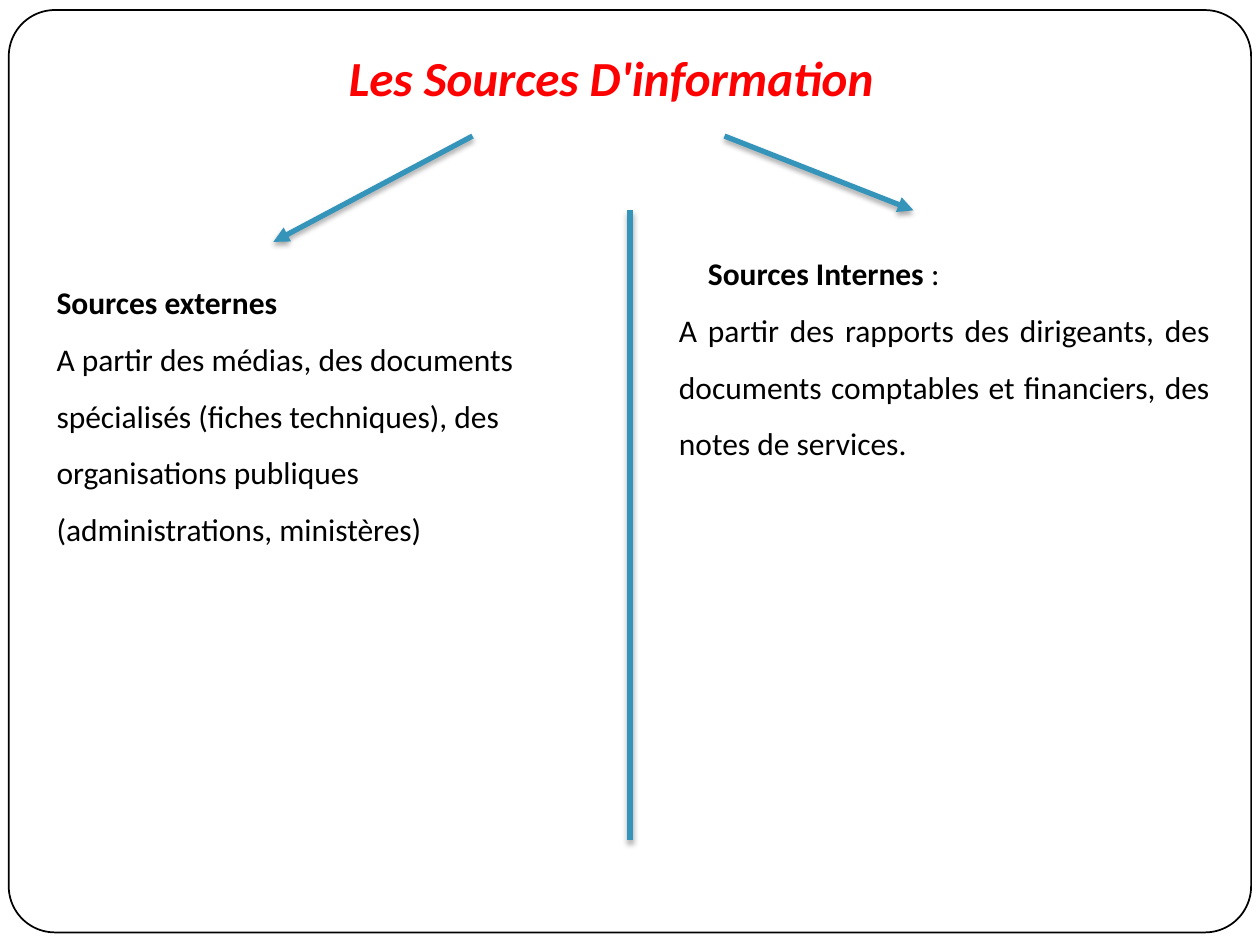
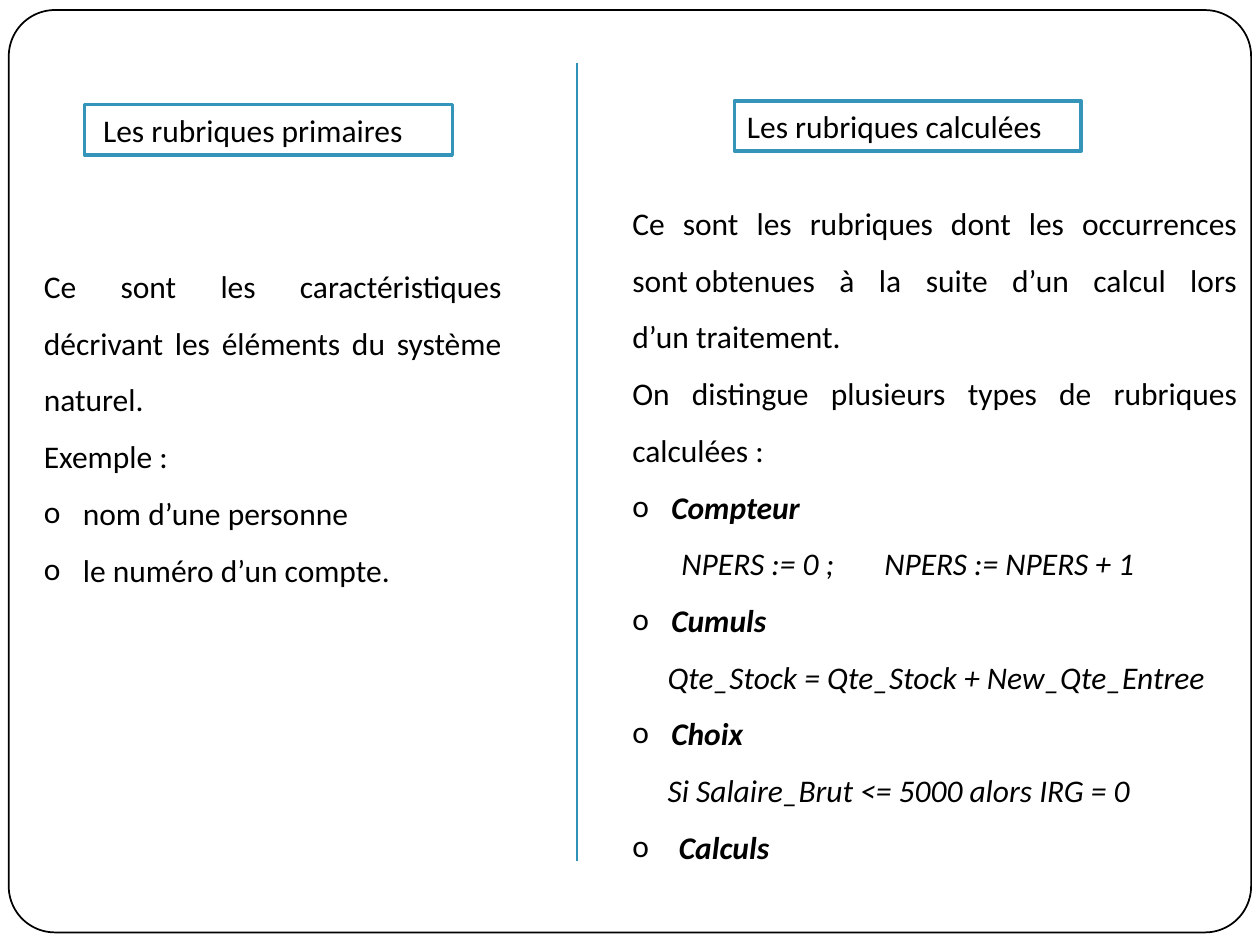
from lxml import etree
from pptx import Presentation
from pptx import util as u
from pptx.dml.color import RGBColor
from pptx.enum import shapes, text
from pptx.oxml import parse_xml
from pptx.oxml.ns import nsdecls, qn

BLACK, WHITE, RED = "000000", "FFFFFF", "FF0000"
TEAL, BLUE = "3494BA", "3092B9"
FONT = "Calibri"
SHADOW = (f'<a:effectLst {nsdecls("a")}><a:outerShdw blurRad="39370" dist="23000" '
          'dir="5400000" rotWithShape="0"><a:srgbClr val="000000">'
          '<a:alpha val="35000"/></a:srgbClr></a:outerShdw></a:effectLst>')
PLAIN = f'<a:effectLst {nsdecls("a")}/>'


def color(code):
    return RGBColor.from_string(code)


def inches(*sizes):
    return [u.Inches(size) for size in sizes]


def add_par(par, words, size=18, ink=BLACK, bold=False, italic=False, just=True,
            space=1.0, left=0, first=0, bullet=None, tab=None, end=""):
    """Fill one paragraph; end is a closing part in regular weight."""
    props = par._p.get_or_add_pPr()
    props.set("marL", str(u.Inches(left)))
    props.set("indent", str(u.Inches(first)))
    par.alignment = text.PP_ALIGN.JUSTIFY if just else text.PP_ALIGN.LEFT
    par.line_spacing = space
    if bullet:
        etree.SubElement(props, qn("a:buFont"), typeface=FONT)
        etree.SubElement(props, qn("a:buChar"), char=bullet)
    if tab:
        tabs = etree.SubElement(props, qn("a:tabLst"))
        etree.SubElement(tabs, qn("a:tab"), pos=str(u.Inches(tab)), algn="l")
    for part, heavy in ((words, bold), (end, False)):
        if part:
            run = par.add_run()
            run.text = part.replace("~", chr(160))  # ~ keeps two words together
            font = run.font
            font.name, font.size = FONT, u.Pt(size)
            font.bold, font.italic = heavy, italic
            font.color.rgb = color(ink)


class Deck:
    def __init__(self):
        self.prs = Presentation()
        self.prs.slide_width, self.prs.slide_height = inches(10, 7.5)
        self.slide = None

    def new_slide(self):
        self.slide = self.prs.slides.add_slide(self.prs.slide_layouts[6])
        # Rounded frame shared by all slides
        frame = self.box((0.07, 0.08, 9.86, 7.32), BLACK, 1,
                         shapes.MSO_SHAPE.ROUNDED_RECTANGLE)
        frame.adjustments[0] = 0.05
        frame.fill.background()

    def box(self, place, ink, width, kind=shapes.MSO_SHAPE.RECTANGLE):
        shape = self.slide.shapes.add_shape(kind, *inches(*place))
        shape.shadow.inherit = False
        shape.fill.solid()
        shape.fill.fore_color.rgb = color(WHITE)
        shape.line.color.rgb = color(ink)
        shape.line.width = u.Pt(width)
        return shape

    def fill_text(self, shape, pars, **style):
        frame = shape.text_frame
        frame.word_wrap = True
        frame.auto_size = text.MSO_AUTO_SIZE.SHAPE_TO_FIT_TEXT
        for num, (words, own) in enumerate(pars):
            par = frame.add_paragraph() if num else frame.paragraphs[0]
            add_par(par, words, **{**style, **own})

    def label(self, place, words, **style):
        self.fill_text(self.box(place, TEAL, 2), [(words, style)], just=False)

    def body(self, place, pars, **style):
        self.fill_text(self.slide.shapes.add_textbox(*inches(*place)), pars, **style)

    def line(self, start, end, ink=TEAL, width=3, arrow=False, shadow=True):
        link = self.slide.shapes.add_connector(
            shapes.MSO_CONNECTOR.STRAIGHT, *inches(*start, *end))
        link.line.color.rgb = color(ink)
        link.line.width = u.Pt(width)
        if arrow:
            etree.SubElement(link.line._get_or_add_ln(), qn("a:tailEnd"), type="triangle")
        link._element.spPr.append(parse_xml(SHADOW if shadow else PLAIN))


def show_sources(deck):
    deck.new_slide()
    deck.body((2.67, 0.33, 5.07, 0.57), [("Les Sources D'information", {})],
              size=28, ink=RED, bold=True, italic=True)
    # Two columns
    deck.body((0.35, 2.05, 4.15, 2.33), [
        ("Sources externes", dict(bold=True)),
        ("A partir des médias, des documents spécialisés (fiches techniques), "
         "des organisations publiques (administrations, ministères)", {}),
    ], space=1.5, just=False)
    deck.body((5.29, 1.82, 4.41, 1.87), [
        ("Sources Internes ", dict(bold=True, first=0.23, end=":")),
        ("A partir des rapports des dirigeants, des documents comptables et "
         "financiers, des notes de services.", {}),
    ], space=1.5)
    # Divider and arrows
    deck.line((5, 1.67), (5, 6.67))
    deck.line((3.75, 1.08), (2.17, 1.92), arrow=True)
    deck.line((5.75, 1.08), (7.25, 1.67), arrow=True)


def show_fields(deck):
    item = dict(left=0.31, first=-0.31, bullet="o")
    head = dict(item, bold=True, italic=True)
    deck.new_slide()
    # Primary fields
    deck.label((0.67, 0.83, 2.92, 0.4), "Les rubriques primaires", first=0.05)
    deck.line((4.58, 0.5), (4.58, 6.83), BLUE, 0.75, shadow=False)
    deck.body((0.25, 1.92, 3.83, 2.78), [
        ("Ce sont les caractéristiques décrivant les éléments du système naturel.", {}),
        ("Exemple :", {}),
        ("nom d’une personne", item),
        ("le numéro d’un compte.", item),
    ], space=1.5)
    # Computed fields
    deck.label((5.83, 0.8, 2.75, 0.4), "Les rubriques calculées")
    deck.body((4.92, 1.42, 5, 5.51), [
        ("Ce sont les rubriques dont les occurrences sont~obtenues à la suite "
         "d’un calcul lors d’un~traitement.", {}),
        ("On distingue plusieurs types de rubriques calculées :", {}),
        ("Compteur", head),
        ("NPERS := 0 ;\tNPERS := NPERS + 1", dict(italic=True, first=0.39, tab=2.11)),
        ("Cumuls", head),
        ("Qte_Stock = Qte_Stock + New_Qte_Entree",
         dict(italic=True, first=0.28, just=False)),
        ("Choix", head),
        ("Si Salaire_Brut <= 5000 alors IRG = 0", dict(italic=True, first=0.28)),
        ("Calculs", dict(head, left=0.37, first=-0.37)),
    ], space=1.5)


def main():
    deck = Deck()
    show_sources(deck)
    show_fields(deck)
    deck.prs.save("out.pptx")


if __name__ == "__main__":
    main()
